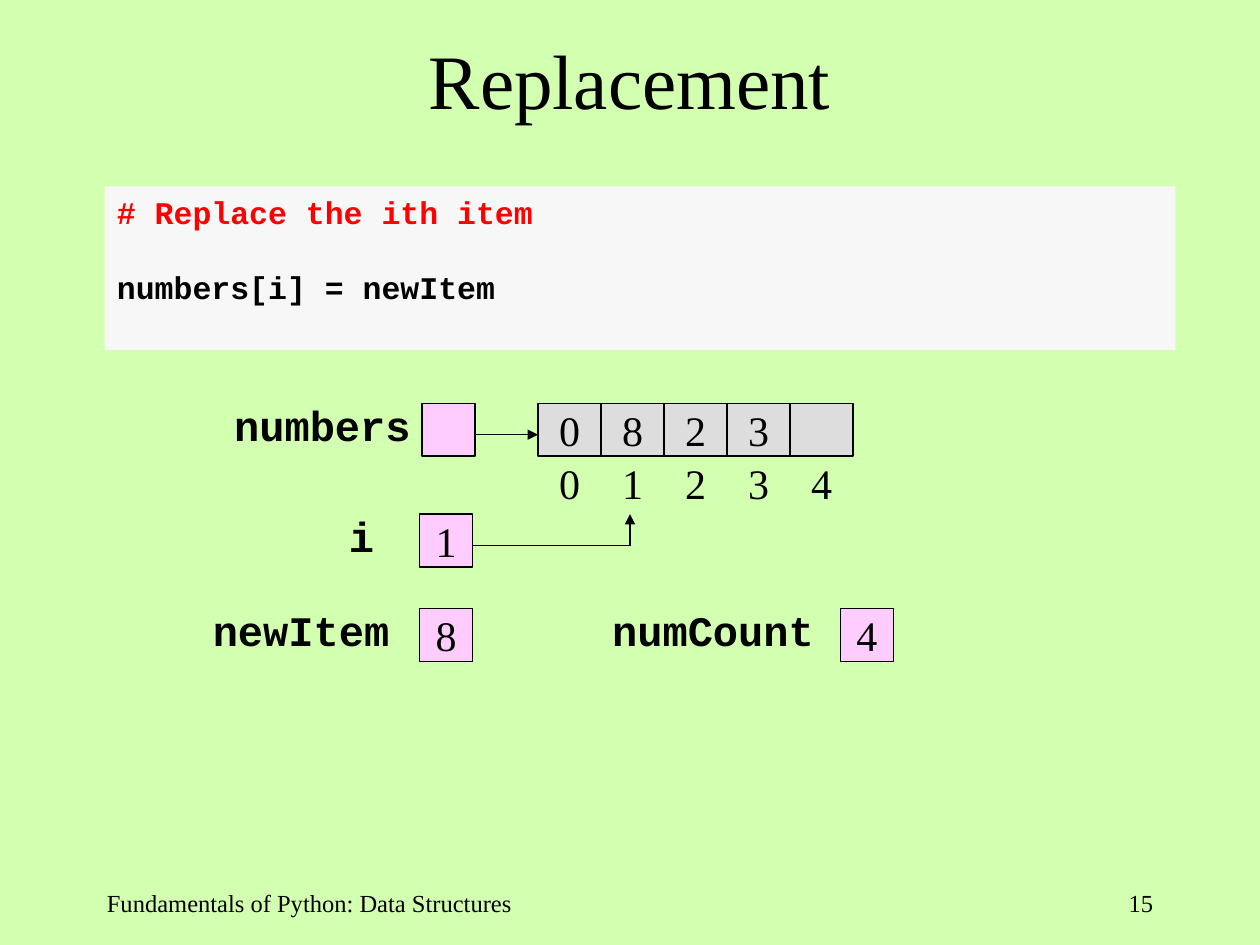
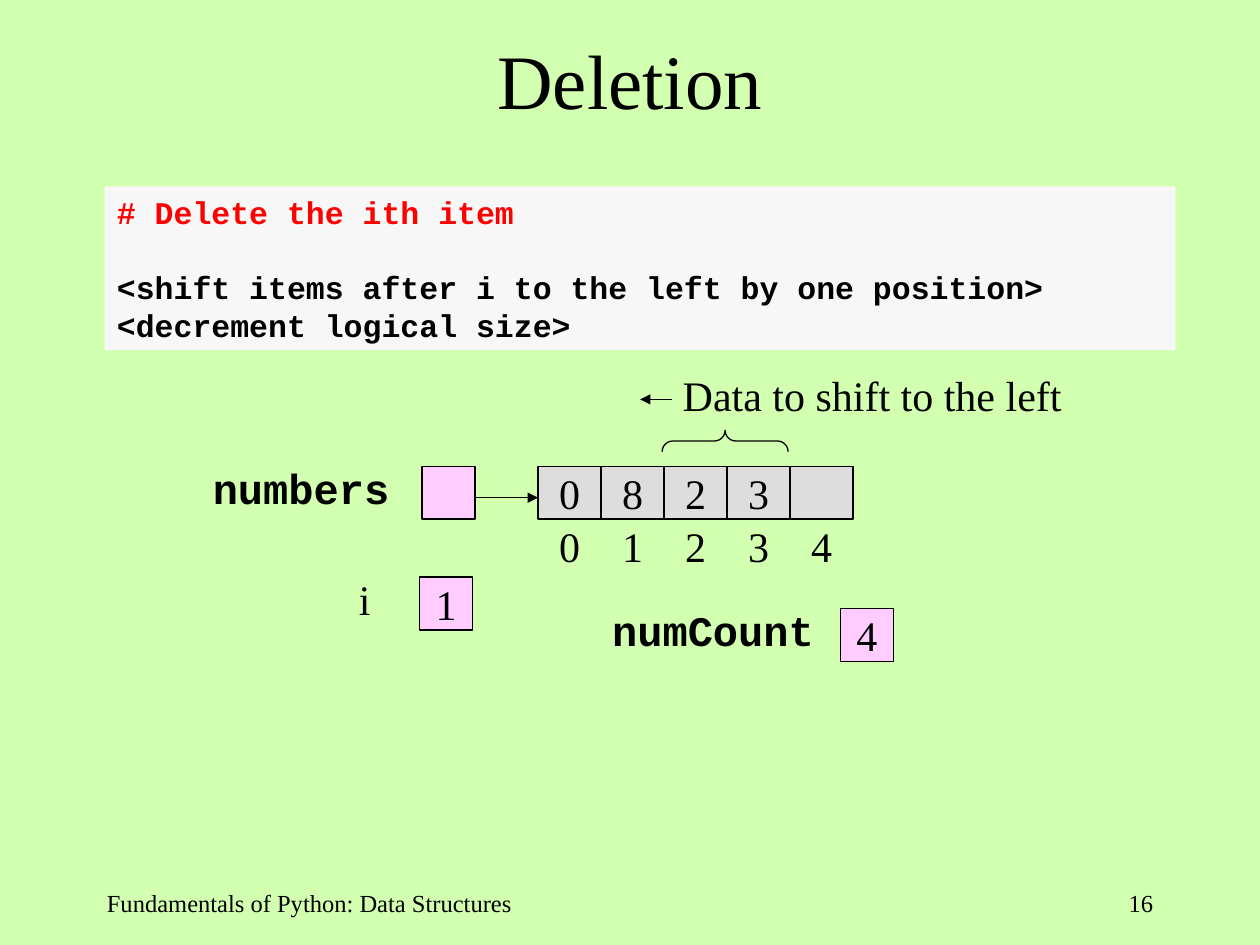
"""Build two slides that show replacement and deletion in an array."""
from lxml import etree
from pptx import Presentation
from pptx.dml.color import RGBColor
from pptx.enum.shapes import MSO_CONNECTOR, MSO_SHAPE
from pptx.enum.text import MSO_ANCHOR, PP_ALIGN
from pptx.oxml.ns import qn
from pptx.util import Inches, Pt

RECTANGLE, BRACE = MSO_SHAPE.RECTANGLE, MSO_SHAPE.RIGHT_BRACE
STRAIGHT = MSO_CONNECTOR.STRAIGHT
LEFT, CENTER, RIGHT = PP_ALIGN.LEFT, PP_ALIGN.CENTER, PP_ALIGN.RIGHT
TOP, MIDDLE = MSO_ANCHOR.TOP, MSO_ANCHOR.MIDDLE

BLACK = RGBColor(0x00, 0x00, 0x00)
RED = RGBColor(0xFF, 0x00, 0x00)
GREEN = RGBColor(0xD2, 0xFF, 0xB0)
PINK = RGBColor(0xFF, 0xCC, 0xFF)
GRAY = RGBColor(0xDD, 0xDD, 0xDD)
CODE_FILL = RGBColor(0xF7, 0xF7, 0xF7)

SERIF, MONO = "Times New Roman", "Courier New"
BODY = {"name": SERIF, "size": Pt(24), "bold": False}
NAME = {"name": MONO, "size": Pt(24), "bold": True}
CODE = {"name": MONO, "size": Pt(18), "bold": True}
TITLE = {"name": SERIF, "size": Pt(44), "bold": False}
FOOTER = {"name": SERIF, "size": Pt(14), "bold": False}
LINE_HEIGHT = 1.2

WIDTH, HEIGHT = 10, 7.5
MARGIN = 0.75
BOX = 0.42
CELL = 0.5
ARRAY_LEFT = 4.27
POINTER_LEFT, VALUE_LEFT, COUNT_LEFT = 3.35, 3.33, 6.67
LABEL_RISE = 0.08
LINE_DROP = 0.25

FOOTER_TEXT = "Fundamentals of Python: Data Structures"
ARRAY = ["0", "8", "2", "3", ""]
COUNT = ("numCount", NAME, 4.76, COUNT_LEFT, 4.83, "4")

# Variables hold: name, name format, name left, box left, box top, value.
SLIDES = [
    {
        "title": "Replacement", "number": "15", "array_top": 3.2,
        "comment": "# Replace the ith item",
        "statements": ["numbers[i] = newItem"],
        "variables": [
            ("numbers", NAME, 1.76, POINTER_LEFT, 3.2, ""),
            ("i", NAME, 2.67, VALUE_LEFT, 4.08, "1"),
            ("newItem", NAME, 1.59, VALUE_LEFT, 4.83, "8"),
            COUNT,
        ],
        "lines": [((3.75, 4.33), (5, 4.33), False),
                  ((5, 4.33), (5, 4.08), True)],
    },
    {
        "title": "Deletion", "number": "16", "array_top": 3.7,
        "comment": "# Delete the ith item",
        "statements": ["<shift items after i to the left by one position>",
                       "<decrement logical size>"],
        "variables": [
            ("numbers", NAME, 1.59, POINTER_LEFT, 3.7, ""),
            ("i", BODY, 2.75, VALUE_LEFT, 4.58, "1"),
            COUNT,
        ],
        "lines": [((5.33, 3.17), (5.08, 3.17), True)],
        "shift_note": "Data to shift to the left",
    },
]


def line_height(style):
    """Return the exact line height for a text format."""
    return Pt(style["size"].pt * LINE_HEIGHT)


def write(shape, lines, style, align=LEFT, anchor=TOP):
    """Fill a shape with (text, colour, space before) lines."""
    frame = shape.text_frame
    frame.word_wrap = True
    frame.vertical_anchor = anchor
    for index, (text, color, space) in enumerate(lines):
        paragraph = frame.add_paragraph() if index else frame.paragraphs[0]
        paragraph.text = text
        paragraph.alignment = align
        paragraph.line_spacing = line_height(style)
        paragraph.space_before = space
        for key, value in style.items():
            setattr(paragraph.font, key, value)
        paragraph.font.color.rgb = color


def add_text(slide, bounds, text, style, align=LEFT, anchor=TOP):
    """Add a black one-line text box."""
    box = slide.shapes.add_textbox(*map(Inches, bounds))
    write(box, [(text, BLACK, Pt(0))], style, align, anchor)


def add_outline(slide, kind, bounds, fill=None):
    """Add a shape with a thin black outline and an optional fill."""
    shape = slide.shapes.add_shape(kind, *map(Inches, bounds))
    shape.shadow.inherit = False
    shape.line.color.rgb = BLACK
    shape.line.width = Pt(0.75)
    if fill is None:
        shape.fill.background()
    else:
        shape.fill.solid()
        shape.fill.fore_color.rgb = fill
    return shape


def add_box(slide, left, top, width, fill, value):
    """Add a memory box, with its value when it has one."""
    box = add_outline(slide, RECTANGLE, (left, top, width, BOX), fill)
    if value:
        write(box, [(value, BLACK, Pt(0))], BODY, CENTER, MIDDLE)


def add_line(slide, start, end, arrow):
    """Add a straight line, optionally with an arrowhead at its end."""
    line = slide.shapes.add_connector(STRAIGHT, *map(Inches, (*start, *end)))
    line.line.color.rgb = BLACK
    line.line.width = Pt(0.75)
    properties = line._element.spPr
    if arrow:
        etree.SubElement(properties.find(qn("a:ln")), qn("a:tailEnd"), type="triangle")
    etree.SubElement(properties, qn("a:effectLst"))


def add_frame(slide, content):
    """Add the background, title, code panel and footer."""
    slide.background.fill.solid()
    slide.background.fill.fore_color.rgb = GREEN
    add_text(slide, (MARGIN, 0, WIDTH - 2 * MARGIN, 1.25), content["title"],
             TITLE, CENTER, MIDDLE)
    panel = add_outline(slide, RECTANGLE, (0.83, 1.48, 8.5, 1.3), CODE_FILL)
    panel.line.fill.background()
    statements = [(text, BLACK, Pt(0) if index else line_height(CODE))
                  for index, text in enumerate(content["statements"])]
    write(panel, [(content["comment"], RED, Pt(0)), *statements], CODE)
    footer_top = HEIGHT - 0.5
    add_text(slide, (MARGIN, footer_top, 3.83, 0.5), FOOTER_TEXT, FOOTER)
    add_text(slide, (WIDTH - MARGIN - 2.08, footer_top, 2.08, 0.5),
             content["number"], FOOTER, RIGHT)


def add_array(slide, top):
    """Add the array cells, their indexes and the arrow that points to them."""
    for index, value in enumerate(ARRAY):
        left = ARRAY_LEFT + index * CELL
        add_box(slide, left, top, CELL, GRAY, value)
        add_text(slide, (left, top + 0.38, CELL, 0.5), str(index), BODY, CENTER)
    middle = top + LINE_DROP
    add_line(slide, (POINTER_LEFT + BOX, middle), (ARRAY_LEFT, middle), True)


def add_shift_note(slide, text):
    """Add the note and the brace above the cells that move."""
    add_text(slide, (5.32, 2.88, 3.3, 0.5), text, BODY)
    brace = add_outline(slide, BRACE, (5.67, 3, 0.17, 1))
    brace.rotation = 270
    brace.adjustments[0] = 0.5


def main():
    """Build and save the presentation."""
    presentation = Presentation()
    presentation.slide_width, presentation.slide_height = Inches(WIDTH), Inches(HEIGHT)
    for content in SLIDES:
        slide = presentation.slides.add_slide(presentation.slide_layouts[6])
        add_frame(slide, content)
        add_array(slide, content["array_top"])
        for name, style, name_left, box_left, top, value in content["variables"]:
            name_width = 0.2 * len(name) + 0.25
            add_text(slide, (name_left, top - LABEL_RISE, name_width, 0.5), name, style)
            add_box(slide, box_left, top, BOX, PINK, value)
        for start, end, arrow in content["lines"]:
            add_line(slide, start, end, arrow)
        if "shift_note" in content:
            add_shift_note(slide, content["shift_note"])
    presentation.save("out.pptx")


if __name__ == "__main__":
    main()
